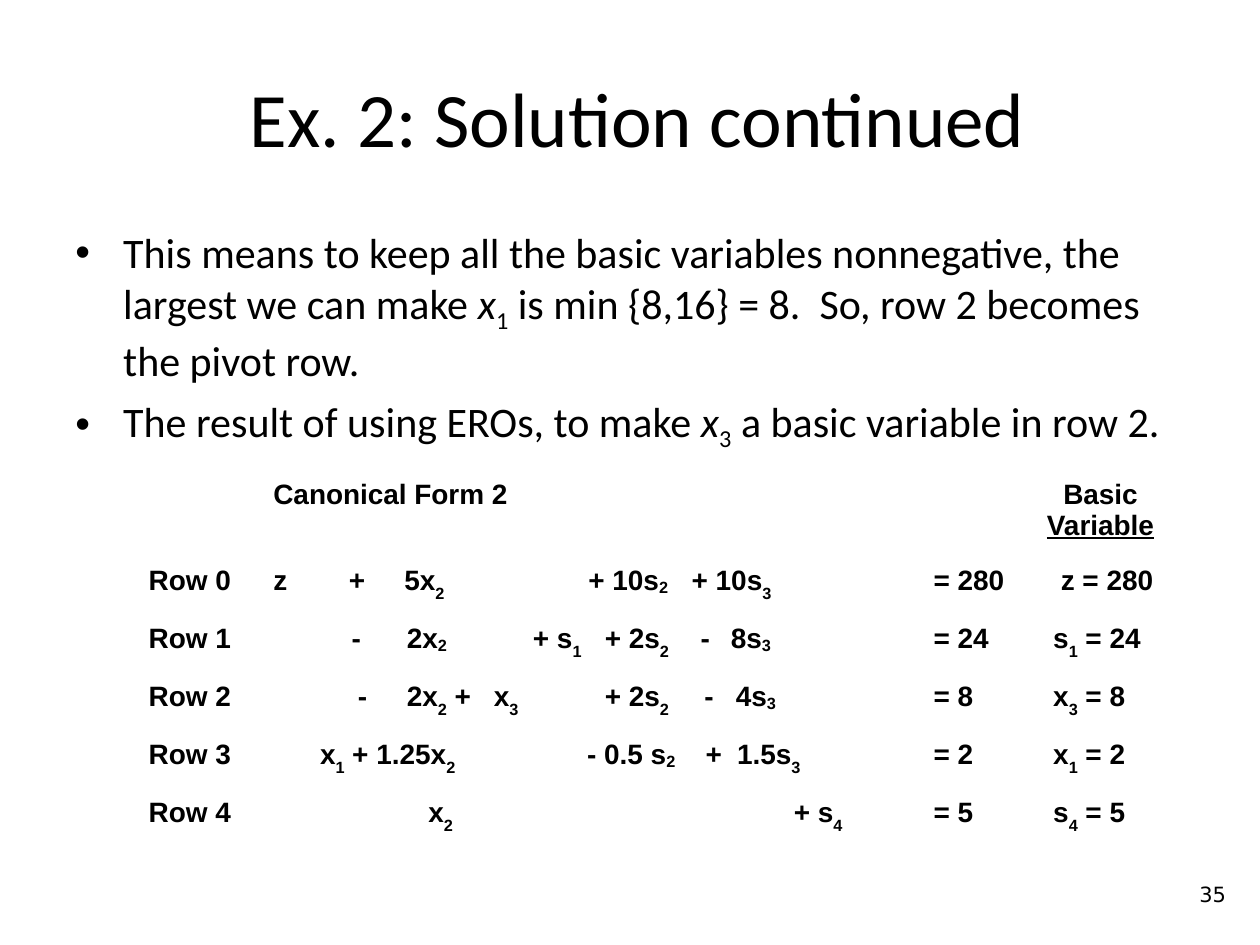
import pptx
import pptx.dml.color
import pptx.enum.text
import pptx.oxml.ns
import pptx.util
from lxml import etree

inch = pptx.util.Inches
points = pptx.util.Pt
centre = pptx.enum.text.PP_ALIGN.CENTER
INK = "000000"
# A part of a text that opens with one of these marks is lowered, in 1/1000 %
DROPS = {"_": -30000, "~": -10000, "^": -25000}


def add_runs(paragraph, marked, size, face, bold=False):
    """Add the parts between bars; DROPS marks lower a part, / slants it."""
    for part in marked.split("|"):
        run = paragraph.add_run()
        run.text = part.lstrip("_~^/")
        run.font.size = points(size)
        run.font.name = face
        run.font.bold = bold
        run.font.italic = part.startswith("/")
        run.font.color.rgb = pptx.dml.color.RGBColor.from_string(INK)
        if part[0] in DROPS:
            run.font._element.set("baseline", str(DROPS[part[0]]))


def add_property(paragraph, tag, **attributes):
    properties = paragraph._p.get_or_add_pPr()
    return etree.SubElement(properties, pptx.oxml.ns.qn(tag), attributes)


deck = pptx.Presentation()
deck.slide_width, deck.slide_height = inch(10), inch(7.5)
slide = deck.slides.add_slide(deck.slide_layouts[5])

# Title
title = slide.shapes.title
title.left, title.top, title.width, title.height = map(inch, (0.5, 0.3, 9, 1.25))
title.text_frame.margin_left = inch(0.22)
title.text_frame.vertical_anchor = pptx.enum.text.MSO_ANCHOR.MIDDLE
heading = title.text_frame.paragraphs[0]
heading.alignment = centre
add_runs(heading, "Ex. 2: Solution continued", 44, "Calibri")

# Explanation
explanation = slide.shapes.add_textbox(inch(0.5), inch(1.75), inch(9), inch(1.95)).text_frame
explanation.word_wrap = True
points_made = [
    "This means to keep all the basic variables nonnegative, the largest we can make "
    "|/x|^1| is min {8,16} = 8.  So, row 2 becomes the pivot row.",
    "The result of using EROs, to make |/x|^3| a basic variable in row 2.",
]
for number, statement in enumerate(points_made):
    bullet = explanation.add_paragraph() if number else explanation.paragraphs[0]
    bullet.space_before = points(6 if number else 0)
    indent = inch(0.38)
    bullet._p.get_or_add_pPr().set("marL", str(indent))
    bullet._p.get_or_add_pPr().set("indent", str(-indent))
    add_property(bullet, "a:buFont", typeface="Arial")
    add_property(bullet, "a:buChar", char="•")
    add_runs(bullet, statement, 24, "Calibri")

# Canonical form: row label, equation, its tab stops in inches, right side, basic variable
equations = [
    ("", "Canonical Form 2", [], "", "Basic Variable"),
    ("Row 0", "z\t+\t5x|_2|\t+ 10s|~2|\t+ 10s|_3", [0.6, 1.04, 2.5, 3.32],
     "= 280", "z = 280"),
    ("Row 1", "\t-\t2x|~2|\t+ s|_1|\t+ 2s|_2|\t-\t8s|~3",
     [0.62, 1.06, 2.06, 2.63, 3.39, 3.63], "= 24", "s|_1| = 24"),
    ("Row 2", "\t-\t2x|_2| +\tx|_3|\t+ 2s|_2|\t-\t4s|~3",
     [0.67, 1.06, 1.75, 2.63, 3.42, 3.67], "= 8", "x|_3| = 8"),
    ("Row 3", "\tx|_1| + 1.25x|_2|\t- 0.5 s|~2|\t+\t1.5s|_3",
     [0.37, 2.49, 3.43, 3.68], "= 2", "x|_1| = 2"),
    ("Row 4", "\tx|_2|\t+ s|_4", [1.23, 4.13], "= 5", "s|_4| = 5"),
]
column_widths = [0.99, 5.12, 0.95, 1.19]
canonical = slide.shapes.add_table(
    len(equations), len(column_widths), inch(1.08), inch(3.75), inch(8.25), inch(3)).table
canonical.first_row = canonical.horz_banding = False
for column, width in zip(canonical.columns, column_widths):
    column.width = inch(width)
for r, (label, equation, stops, value, basic) in enumerate(equations):
    canonical.rows[r].height = inch(0.46 if r else 0.69)
    for c, content in enumerate((label, equation, value, basic)):
        cell = canonical.cell(r, c)
        cell.fill.background()
        cell.margin_left = inch(0.22 if r and c > 1 else 0.1)
        if not content:
            continue
        line = cell.text_frame.paragraphs[0]
        line.space_after = points(5)
        if c == 1 and stops:
            tabs = add_property(line, "a:tabLst")
            for stop in stops:
                etree.SubElement(tabs, pptx.oxml.ns.qn("a:tab"), pos=str(inch(stop)), algn="l")
        add_runs(line, content, 16, "Arial", bold=True)

canonical.cell(1, 3).margin_left = inch(0.28)
basic_heading = canonical.cell(0, 3).text_frame.paragraphs[0]
basic_heading.alignment = centre
basic_heading.runs[0].text = "Basic "
add_runs(basic_heading, "Variable", 16, "Arial", bold=True)
basic_heading.runs[1].font.underline = True

# Page number
page = slide.shapes.add_textbox(inch(9.42), inch(6.95), inch(0.53), inch(0.33)).text_frame
page.word_wrap = True
add_runs(page.paragraphs[0], "35", 12, "DejaVu Sans")

deck.save("out.pptx")
